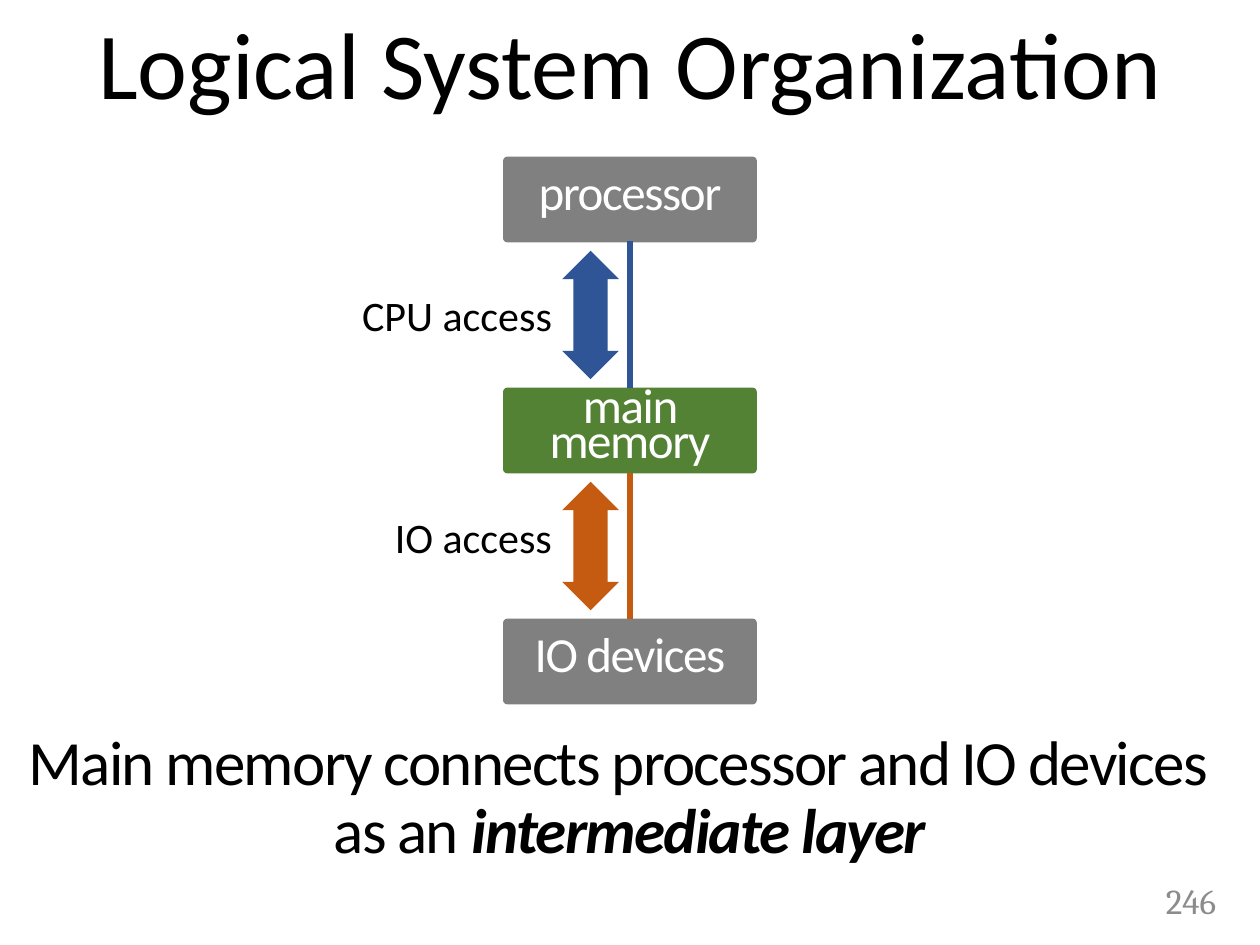
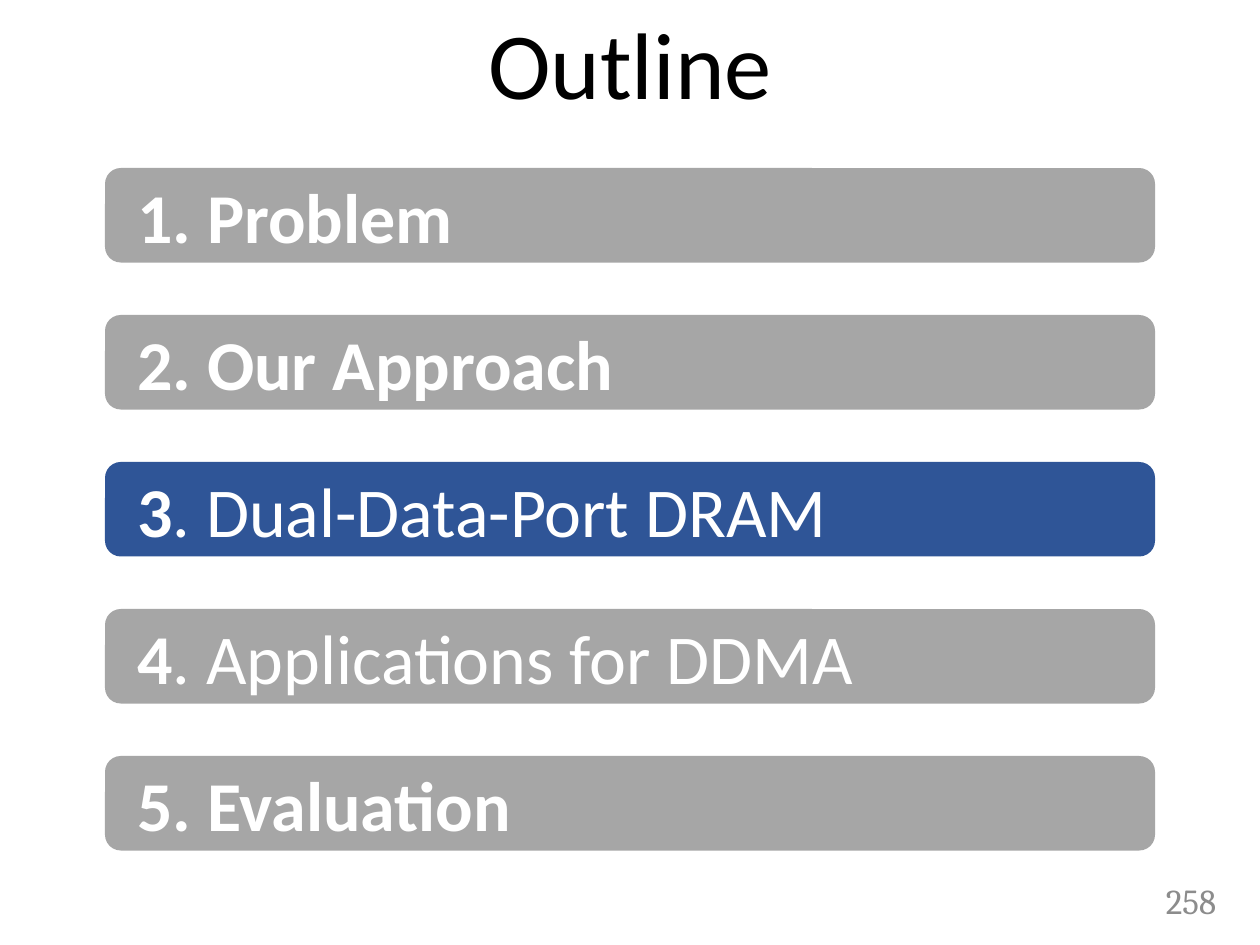
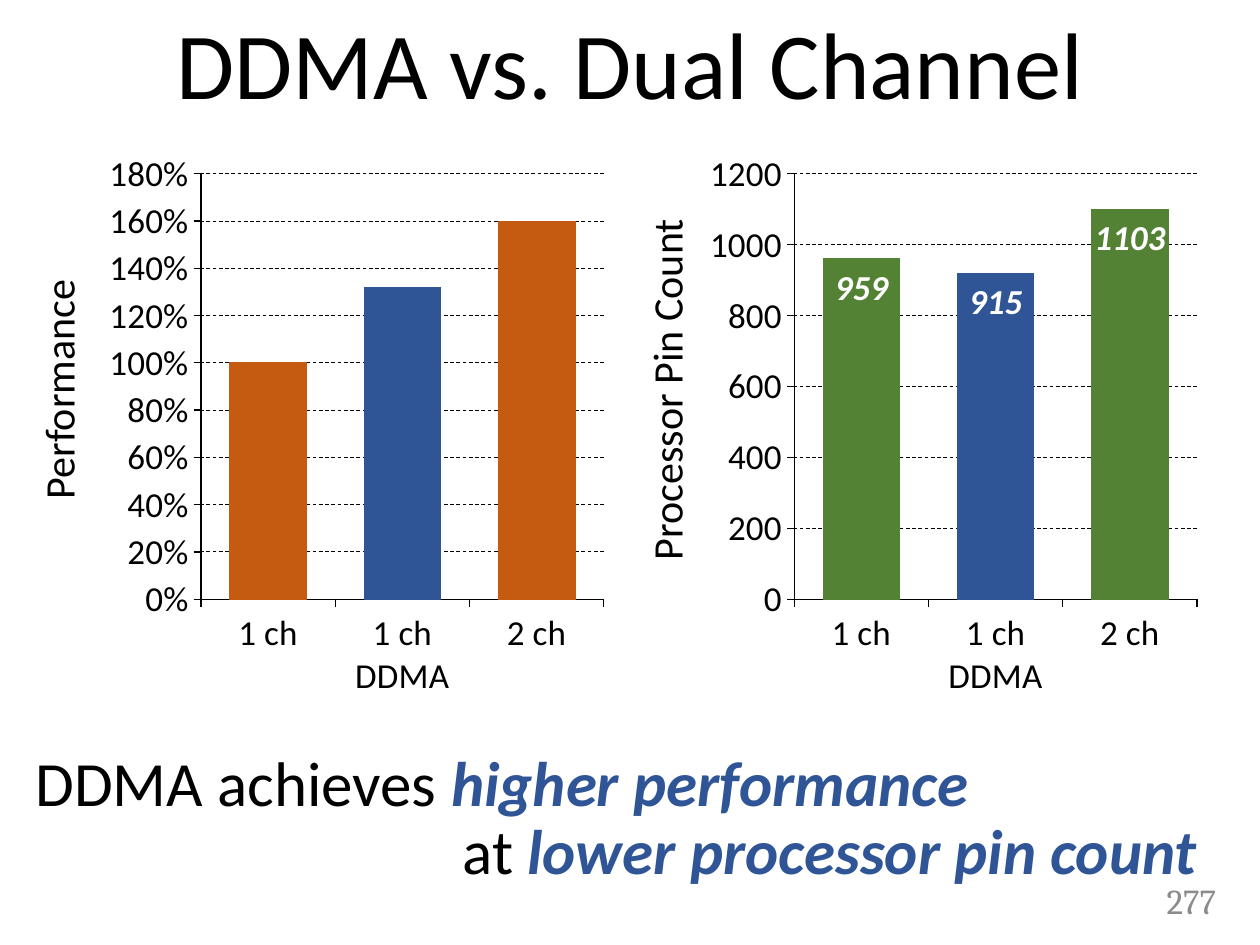
from dataclasses import dataclass
from typing import NamedTuple

from lxml import etree
from pptx import Presentation
from pptx.chart.data import CategoryChartData
from pptx.dml.color import RGBColor
from pptx.enum.chart import XL_CHART_TYPE
from pptx.enum.dml import MSO_LINE
from pptx.enum.shapes import MSO_CONNECTOR, MSO_SHAPE
from pptx.enum.text import MSO_ANCHOR, PP_ALIGN
from pptx.oxml.ns import qn
from pptx.util import Emu, Inches, Pt

COLUMN_CLUSTERED = XL_CHART_TYPE.COLUMN_CLUSTERED
STRAIGHT = MSO_CONNECTOR.STRAIGHT
ROUNDED, UP_DOWN_ARROW = MSO_SHAPE.ROUNDED_RECTANGLE, MSO_SHAPE.UP_DOWN_ARROW
LEFT, CENTER, RIGHT = PP_ALIGN.LEFT, PP_ALIGN.CENTER, PP_ALIGN.RIGHT
TOP, MIDDLE, BOTTOM = MSO_ANCHOR.TOP, MSO_ANCHOR.MIDDLE, MSO_ANCHOR.BOTTOM
DASH = MSO_LINE.DASH

SLIDE_WIDTH, SLIDE_HEIGHT = Inches(10), Inches(7.5)
COLUMNS, ROWS = 120, 90
BOTTOM_SITE, TOP_SITE = 2, 0
COLORS = {
    "black": "000000",
    "white": "FFFFFF",
    "page": "8C8C8C",
    "device": "808080",
    "inactive": "A6A6A6",
    "blue": "2F5597",
    "green": "548235",
    "orange": "C55A11",
}


class Area(NamedTuple):
    """Left, top, width and height in grid columns and rows."""
    left: float
    top: float
    width: float
    height: float

    def lengths(self) -> list[Emu]:
        column, row = SLIDE_WIDTH / COLUMNS, SLIDE_HEIGHT / ROWS
        return [Emu(round(cells * size)) for cells, size in zip(self, (column, row) * 2)]


@dataclass(frozen=True)
class Style:
    size: float
    color: str = "black"
    bold: bool = False
    italic: bool = False
    font: str = "Calibri"
    spacing: float = 0


class Line(NamedTuple):
    """One paragraph: its runs, alignment and line spacing."""
    runs: list[tuple[str, Style]]
    align: PP_ALIGN = CENTER
    line_spacing: float | Pt | None = None


class Layer(NamedTuple):
    name: str
    color: str


class Access(NamedTuple):
    name: str
    color: str
    label_top: float


class Topic(NamedTuple):
    number: str
    rest: str
    bold: bool = True
    color: str = "inactive"


class BarChart(NamedTuple):
    left: float
    axis_title: str
    axis_title_left: float
    values: list[float]
    maximum: float
    step: float
    number_format: str
    color: str


TITLE_AREA = Area(0, 2, 120, 10)
PAGE_AREA = Area(108, 83.4, 9, 4.8)
TITLE = Style(54)
PAGE = Style(20, "page", font="Cambria")
LABEL = Style(24)

LAYERS = [Layer("processor", "device"), Layer("main memory", "green"),
          Layer("IO devices", "device")]
ACCESSES = [Access("CPU access", "blue", 27), Access("IO access", "orange", 48.1)]
LAYER_TOP, LAYER_HEIGHT, LAYER_STEP = 15, 8, 22

TOPICS = [
    Topic("1", ". Problem"),
    Topic("2", ". Our Approach"),
    Topic("3", ". Dual-Data-Port DRAM", False, "blue"),
    Topic("4", ". Applications for DDMA", False),
    Topic("5", ". Evaluation"),
]

CATEGORIES = ["1 ch", "1 ch DDMA", "2 ch"]
HIGHLIGHTED = 1
PERFORMANCE = BarChart(-6.67, "Performance", -22.9, [1, 1.32, 1.6],
                       1.8, 0.2, "0%", "orange")
PIN_COUNT = BarChart(49.83, "Processor Pin Count", 35, [960, 920, 1100],
                     1200, 200, "General", "green")
PIN_LABELS = ["959", "915", "1103"]
CHART_TOP, CHART_WIDTH, CHART_HEIGHT = 5.45, 74.2, 72.1
PLOT = {"x": 0.348, "y": 0.154, "w": 0.517, "h": 0.562}


def rgb(name: str) -> RGBColor:
    return RGBColor.from_string(COLORS[name])


def write(shape, lines: list[Line], anchor: MSO_ANCHOR) -> None:
    frame = shape.text_frame
    frame.word_wrap = True
    frame.vertical_anchor = anchor
    for index, line in enumerate(lines):
        paragraph = frame.add_paragraph() if index else frame.paragraphs[0]
        paragraph.alignment = line.align
        paragraph.line_spacing = line.line_spacing
        for text, style in line.runs:
            run = paragraph.add_run()
            run.text = text
            font = run.font
            font.name, font.size = style.font, Pt(style.size)
            font.bold, font.italic = style.bold, style.italic
            font.color.rgb = rgb(style.color)
            if style.spacing:
                run._r.get_or_add_rPr().set("spc", str(round(style.spacing * 100)))


def add_text(slide, area: Area, lines: list[Line], anchor: MSO_ANCHOR = TOP):
    box = slide.shapes.add_textbox(*area.lengths())
    write(box, lines, anchor)
    return box


def add_filled(slide, preset: MSO_SHAPE, area: Area, color: str, outlined: bool = True):
    shape = slide.shapes.add_shape(preset, *area.lengths())
    shape.shadow.inherit = False
    shape.fill.solid()
    shape.fill.fore_color.rgb = rgb(color)
    if outlined:
        shape.line.color.rgb = rgb(color)
        shape.line.width = Pt(1)
    else:
        shape.line.fill.background()
    return shape


def add_access_arrow(slide, area: Area, color: str) -> None:
    """Draw a double arrow with a wide shaft and sharp corners."""
    properties = add_filled(slide, UP_DOWN_ARROW, area, color)._element.spPr
    guides = properties.find(qn("a:prstGeom")).find(qn("a:avLst"))
    for guide in list(guides):
        guides.remove(guide)
    for name, value in (("adj1", 62000), ("adj2", 50000)):
        etree.SubElement(guides, qn("a:gd"), name=name, fmla=f"val {value}")
    etree.SubElement(properties.find(qn("a:ln")), qn("a:miter"), lim="800000")


def add_link(slide, upper, lower, color: str) -> None:
    """Join the bottom of one box to the top of the next."""
    link = slide.shapes.add_connector(STRAIGHT, 0, 0, 0, 0)
    link.begin_connect(upper, BOTTOM_SITE)
    link.end_connect(lower, TOP_SITE)
    link.line.color.rgb = rgb(color)
    link.line.width = Pt(4)
    etree.SubElement(link._element.spPr, qn("a:effectLst"))


def hang_first_line(box, indent: Emu) -> None:
    """Start the first line further left and keep the next ones centred."""
    frame = box.text_frame
    frame.margin_left, frame.margin_right = 0, indent
    properties = frame.paragraphs[0]._p.get_or_add_pPr()
    properties.set("marL", str(indent))
    properties.set("indent", str(-indent))


def add_titled_slide(presentation, title: str, page: int):
    slide = presentation.slides.add_slide(presentation.slide_layouts[6])
    add_text(slide, PAGE_AREA, [Line([(str(page), PAGE)], RIGHT)], MIDDLE)
    add_text(slide, TITLE_AREA, [Line([(title, TITLE)], CENTER, 0.9)], BOTTOM)
    return slide


def fix_plot_area(chart) -> None:
    """Place the inner plot area at its fixed shares of the chart."""
    plot_area = chart._chartSpace.chart.plotArea
    for old_layout in plot_area.findall(qn("c:layout")):
        plot_area.remove(old_layout)
    layout = etree.Element(qn("c:layout"))
    manual = etree.SubElement(layout, qn("c:manualLayout"))
    settings = {"layoutTarget": "inner", "xMode": "edge", "yMode": "edge", **PLOT}
    for name, value in settings.items():
        etree.SubElement(manual, qn(f"c:{name}")).set("val", str(value))
    plot_area.insert(0, layout)


def add_bar_chart(slide, bars: BarChart) -> None:
    data = CategoryChartData(number_format=bars.number_format)
    data.categories = CATEGORIES
    data.add_series("Series 1", bars.values)
    area = Area(bars.left, CHART_TOP, CHART_WIDTH, CHART_HEIGHT)
    chart = slide.shapes.add_chart(COLUMN_CLUSTERED, *area.lengths(), data).chart
    chart.has_title = chart.has_legend = False
    chart.font.name, chart.font.size = "Calibri", Pt(20)
    chart.font.color.rgb = rgb("black")
    fix_plot_area(chart)

    plot = chart.plots[0]
    plot.gap_width, plot.vary_by_categories = 75, False
    series = plot.series[0]
    for index in range(len(CATEGORIES)):
        color = rgb("blue" if index == HIGHLIGHTED else bars.color)
        look = series.points[index].format
        look.fill.solid()
        look.fill.fore_color.rgb = color
        look.line.color.rgb = color
        look.line.width = Pt(0.5)

    value_axis = chart.value_axis
    value_axis.minimum_scale, value_axis.maximum_scale = 0, bars.maximum
    value_axis.major_unit = bars.step
    value_axis.tick_labels.number_format = bars.number_format
    value_axis.tick_labels.number_format_is_linked = False
    grid_line = value_axis.major_gridlines.format.line
    axis_lines = [axis.format.line for axis in (chart.category_axis, value_axis)]
    for line, width in zip([*axis_lines, grid_line], (0.75, 0.75, 0.5)):
        line.color.rgb = rgb("black")
        line.width = Pt(width)
    grid_line.dash_style = DASH

    title_area = Area(bars.axis_title_left, 34.1, 56.8, 6)
    add_text(slide, title_area, [Line([(bars.axis_title, LABEL)])], MIDDLE).rotation = 270


def add_bar_labels(slide, bars: BarChart, labels: list[str]) -> None:
    """Write each label just inside the top of its bar."""
    style = Style(20, "white", bold=True, italic=True)
    label_width = 9.5
    slot = PLOT["w"] * CHART_WIDTH / len(labels)
    plot_left = bars.left + PLOT["x"] * CHART_WIDTH
    for index, (label, value) in enumerate(zip(labels, bars.values)):
        center = plot_left + (index + 0.5) * slot
        drop = PLOT["y"] + PLOT["h"] * (1 - value / bars.maximum)
        area = Area(center - label_width / 2, CHART_TOP + drop * CHART_HEIGHT, label_width, 5)
        add_text(slide, area, [Line([(label, style)])])


def build_organization(presentation) -> None:
    slide = add_titled_slide(presentation, "Logical System Organization", 246)
    name_style = Style(28, "white", spacing=-0.8)
    boxes = []
    for index, layer in enumerate(LAYERS):
        area = Area(48, LAYER_TOP + index * LAYER_STEP, 24, LAYER_HEIGHT)
        box = add_filled(slide, ROUNDED, area, layer.color)
        box.adjustments[0] = 0.04
        frame = box.text_frame
        frame.margin_left = frame.margin_right = frame.margin_bottom = 0
        write(box, [Line([(layer.name, name_style)], CENTER, Pt(20))], MIDDLE)
        boxes.append(box)
    for index, access in enumerate(ACCESSES):
        add_link(slide, boxes[index], boxes[index + 1], access.color)
        arrow_top = LAYER_TOP + LAYER_HEIGHT + 1 + index * LAYER_STEP
        add_access_arrow(slide, Area(53.75, arrow_top, 5, 12), access.color)
        add_text(slide, Area(32.75, access.label_top, 21, 6),
                 [Line([(access.name, LABEL)], RIGHT)])
    statement = add_text(slide, Area(0, 69, 120, 13.7), [Line([
        ("Main memory connects processor and IO devices as an ", Style(36, spacing=-1)),
        ("intermediate layer", Style(36, bold=True, italic=True, spacing=-1)),
    ], CENTER, 0.9)])
    hang_first_line(statement, Inches(0.2))


def build_outline(presentation) -> None:
    slide = add_titled_slide(presentation, "Outline", 258)
    for index, topic in enumerate(TOPICS):
        bar = add_filled(slide, ROUNDED, Area(10, 16 + 14 * index, 100, 9),
                         topic.color, outlined=False)
        bar.text_frame.margin_left = Inches(0.22)
        write(bar, [Line([
            (topic.number, Style(40, "white", bold=True)),
            (topic.rest, Style(40, "white", bold=topic.bold)),
        ], LEFT)], MIDDLE)


def build_comparison(presentation) -> None:
    slide = add_titled_slide(presentation, "DDMA vs. Dual Channel", 277)
    for bars in (PIN_COUNT, PERFORMANCE):
        add_bar_chart(slide, bars)
    add_bar_labels(slide, PIN_COUNT, PIN_LABELS)
    plain, strong = Style(36), Style(36, "blue", bold=True, italic=True)
    add_text(slide, Area(2.2, 71, 113, 13.7), [
        Line([("DDMA achieves ", plain), ("higher performance", strong)], LEFT, 0.9),
        Line([("at ", plain), ("lower processor pin count", strong)], RIGHT, 0.9),
    ])


def main() -> None:
    presentation = Presentation()
    presentation.slide_width, presentation.slide_height = SLIDE_WIDTH, SLIDE_HEIGHT
    build_organization(presentation)
    build_outline(presentation)
    build_comparison(presentation)
    presentation.save("out.pptx")


if __name__ == "__main__":
    main()
